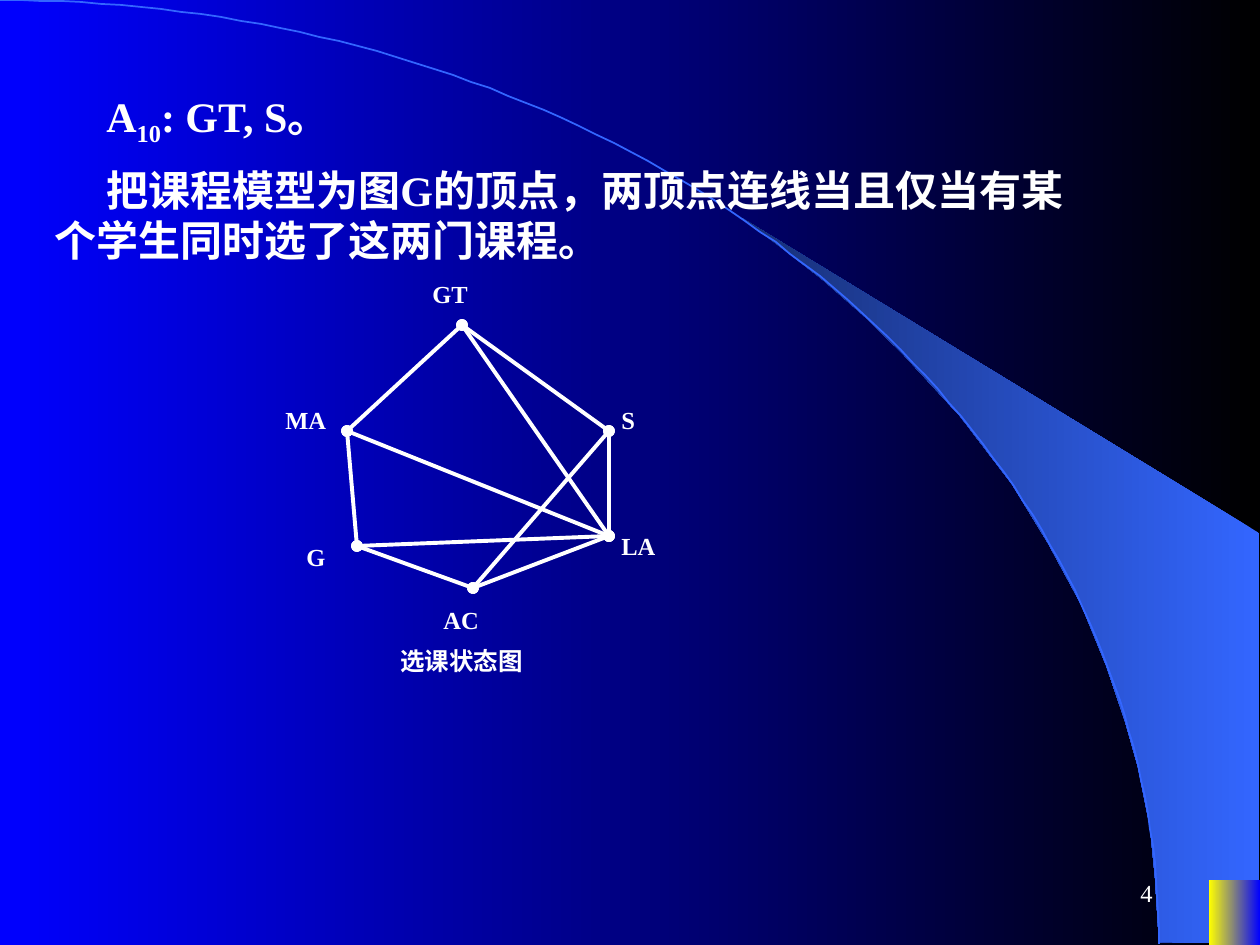
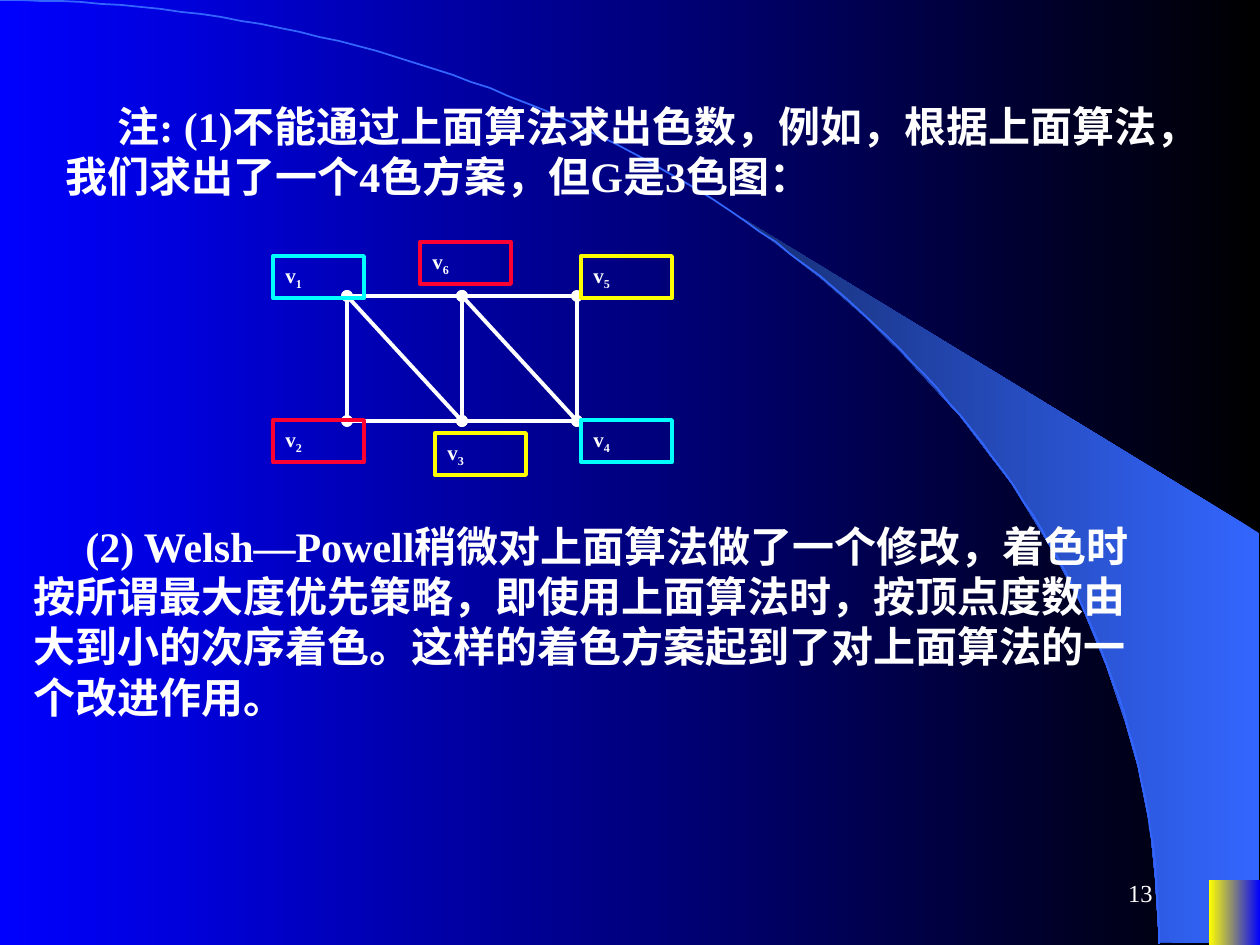
import math
from lxml import etree
from pptx import Presentation
from pptx import util as u
from pptx.dml.color import RGBColor
from pptx.enum import lang, shapes, text
from pptx.oxml.ns import qn

PX = 914400 / 126  # EMU per px
W, H = 1260, 945
FONT = "Times New Roman"
INDENT = 52
COLORS = {
    "black": "000000", "blue": "0000FF", "arc": "3366FF", "wedge": "172F75",
    "white": "FFFFFF", "yellow": "FFFF00", "cyan": "00FFFF", "red": "FF0033",
}
rgb = {name: RGBColor.from_string(value) for name, value in COLORS.items()}


def write(sp, runs, size, bold=True, indent=0, align=text.PP_ALIGN.LEFT,
          anchor=text.MSO_ANCHOR.TOP):
    """Fill a shape with one paragraph; runs starting with "_" are subscripts."""
    tf = sp.text_frame
    tf.word_wrap = True
    tf.vertical_anchor = anchor
    p = tf.paragraphs[0]
    p.alignment = align
    if indent:
        p._p.get_or_add_pPr().set("indent", str(round(indent * PX)))
    for part in runs:
        r = p.add_run()
        r.text = part.lstrip("_")
        r.font.name = FONT
        r.font.size = u.Pt(size)
        r.font.bold = bold
        r.font.color.rgb = rgb["white"]
        r.font.language_id = lang.MSO_LANGUAGE_ID.SIMPLIFIED_CHINESE
        if part.startswith("_"):
            r._r.get_or_add_rPr().set("baseline", "-25000")


def set_gradient(fill, right, left):
    fill.gradient()
    fill.gradient_angle = 180
    for stop, name in zip(fill.gradient_stops, (right, left)):
        stop.color.rgb = rgb[name]


prs = Presentation()
prs.slide_width, prs.slide_height = round(W * PX), round(H * PX)
set_gradient(prs.slide_master.background.fill, "black", "blue")

# Shared decoration
wedge = [
    (1159, 942), (1259, 944), (1259, 533), (742, 218), (786, 251), (823, 280),
    (863, 315), (902, 353), (960, 416), (1012, 484), (1048, 543), (1081, 604),
    (1106, 665), (1125, 721), (1138, 767), (1150, 827), (1155, 877),
]
arc_w, arc_h, steps = 1159, 944, 90
angles = [math.pi / 2 * i / steps for i in range(steps + 1)]
arc = [(round(arc_w * math.sin(a)), round(arc_h * (1 - math.cos(a)))) for a in angles]

# Graph of courses
courses = {
    "GT": (462, 325), "MA": (347, 431), "S": (609, 431),
    "G": (357, 546), "LA": (609, 536), "AC": (473, 588),
}
course_edges = [
    ("GT", "MA"), ("GT", "S"), ("MA", "G"), ("S", "LA"), ("G", "AC"),
    ("LA", "AC"), ("GT", "LA"), ("MA", "LA"), ("G", "LA"), ("S", "AC"),
]
course_labels = {
    "GT": (420, 273), "MA": (273, 399), "G": (294, 536),
    "AC": (431, 599), "LA": (609, 525), "S": (609, 399),
}

# Coloured graph: two rows of three vertices
grid = [["1", "6", "5"], ["2", "3", "4"]]
vertices = {v: (347 + 115 * col, 296 + 125 * row)
            for row, names in enumerate(grid) for col, v in enumerate(names)}
vertex_edges = ["12", "16", "65", "23", "34", "63", "54", "13", "64"]
vertex_boxes = [
    ("5", 581, 256, "yellow"), ("4", 581, 420, "cyan"), ("3", 435, 433, "yellow"),
    ("2", 273, 420, "red"), ("1", 273, 256, "cyan"), ("6", 420, 242, "red"),
]

pages = [
    {
        "number": "4", "points": courses, "edges": course_edges,
        "texts": [
            (42, 84, 1071, 70, ["A", "_10", ": GT, S。"]),
            (42, 158, 1071, 113,
             ["把课程模型为图G的顶点，两顶点连线当且仅当有某个学生同时选了这两门课程。"]),
        ],
    },
    {
        "number": "13", "points": vertices, "edges": vertex_edges,
        "texts": [
            (53, 94, 1144, 113,
             ["注: (1)不能通过上面算法求出色数，例如，根据上面算法，"
              "我们求出了一个4色方案，但G是3色图："]),
            (21, 514, 1144, 214,
             ["(2) Welsh—Powell稍微对上面算法做了一个修改，着色时按所谓最大度优先策略，"
              "即使用上面算法时，按顶点度数由大到小的次序着色。"
              "这样的着色方案起到了对上面算法的一个改进作用。"]),
        ],
    },
]

for page in pages:
    s = prs.slides.add_slide(prs.slide_layouts[6])

    for outline, closed in ((wedge, True), (arc, False)):
        builder = s.shapes.build_freeform(*outline[0], scale=PX)
        builder.add_line_segments(outline[1:], close=closed)
        sp = builder.convert_to_shape()
        sp.shadow.inherit = False
        if closed:
            set_gradient(sp.fill, "arc", "wedge")
            sp.line.fill.background()
        else:
            sp.fill.background()
            sp.line.color.rgb = rgb["arc"]
            sp.line.width = u.Pt(1)

    box = [round(n * PX) for n in (1209, 880, 51, 65)]
    sp = s.shapes.add_shape(shapes.MSO_SHAPE.RECTANGLE, *box)
    sp.shadow.inherit = False
    set_gradient(sp.fill, "blue", "yellow")
    sp.line.fill.background()

    for start, end in page["edges"]:
        ends = [round(n * PX) for n in page["points"][start] + page["points"][end]]
        edge = s.shapes.add_connector(shapes.MSO_CONNECTOR.STRAIGHT, *ends)
        edge.line.color.rgb = rgb["white"]
        edge.line.width = u.Pt(2.25)
        ln = edge.line._get_or_add_ln()
        for tag in ("a:headEnd", "a:tailEnd"):
            etree.SubElement(ln, qn(tag), type="oval")
        etree.SubElement(edge._element.spPr, qn("a:effectLst"))

    if page["points"] is courses:
        labels = [(x, y, 86, name) for name, (x, y) in course_labels.items()]
        for x, y, width, label in labels + [(388, 640, 199, "选课状态图")]:
            box = [round(n * PX) for n in (x, y, width, 43)]
            write(s.shapes.add_textbox(*box), [label], 14)
    else:
        for v, x, y, color in vertex_boxes:
            box = [round(n * PX) for n in (x, y, 91, 42)]
            sp = s.shapes.add_shape(shapes.MSO_SHAPE.RECTANGLE, *box)
            sp.shadow.inherit = False
            sp.fill.background()
            sp.line.color.rgb = rgb[color]
            sp.line.width = u.Pt(2.25)
            write(sp, ["v", "_" + v], 12)

    for *frame, runs in page["texts"]:
        box = [round(n * PX) for n in frame]
        write(s.shapes.add_textbox(*box), runs, 24, indent=INDENT)

    box = [round(n * PX) for n in (903, 861, 262, 63)]
    write(s.shapes.add_textbox(*box), [page["number"]], 14, bold=False,
          align=text.PP_ALIGN.RIGHT, anchor=text.MSO_ANCHOR.MIDDLE)

prs.save("out.pptx")
